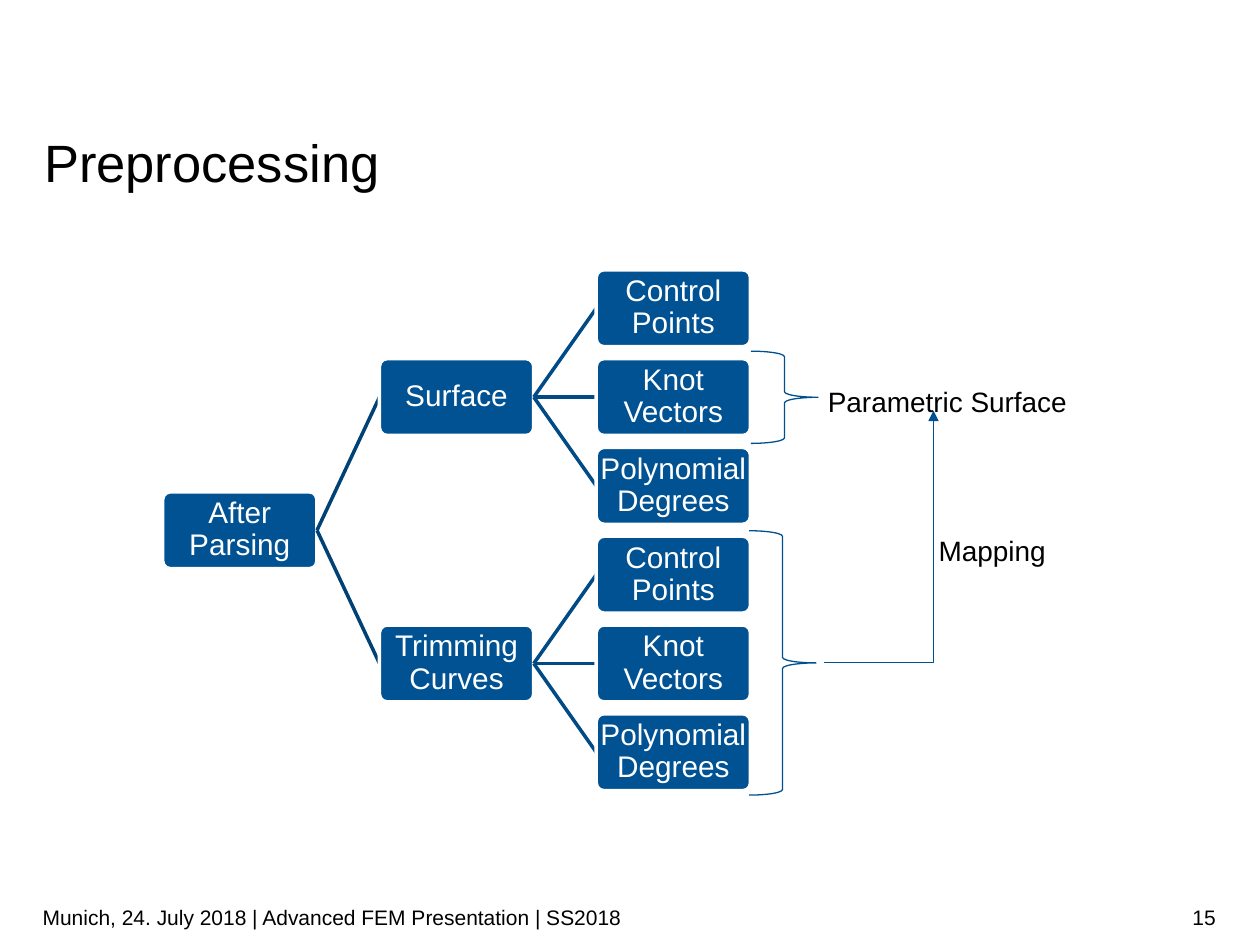
"""Build the preprocessing slide: a tree of inputs with braces and a mapping arrow."""
from lxml.etree import SubElement
from pptx import Presentation
from pptx.dml.color import RGBColor
from pptx.enum.shapes import MSO_CONNECTOR, MSO_SHAPE
from pptx.enum.text import MSO_ANCHOR, PP_ALIGN
from pptx.oxml.ns import qn
from pptx.util import Cm, Pt

BLUE = RGBColor(0x00, 0x52, 0x93)
EDGE = RGBColor(0x00, 0x50, 0x90)
NAVY = RGBColor(0x00, 0x42, 0x76)
STEEL = RGBColor(0x00, 0x4A, 0x85)
WHITE = RGBColor(0xFF, 0xFF, 0xFF)
BLACK = RGBColor(0x00, 0x00, 0x00)

LEAVES = ["Control Points", "Knot Vectors", "Polynomial Degrees"]
ROOT = "After Parsing"
BRANCHES = ["Surface", "Trimming Curves"]
LINKS = [NAVY, STEEL]
BRACES = [(15.14, 7.08, 1.35, 1.86), (15.1, 10.7, 1.35, 5.33)]
ARROW = (16.61, 13.36, 18.82, 8.28)

TITLE = ("Preprocessing", 0.89, 2.77, 23.65, 1.14)
NOTES = [("Parametric Surface", 16.69, 7.65, 4.88, 0.71),
         ("Mapping", 18.92, 10.67, 2.18, 0.71)]
FOOTER = [("Munich, 24. July 2018 | Advanced FEM Presentation | SS2018",
           0.86, 17.98, 17.96, 1.02, PP_ALIGN.LEFT),
          ("15", 18.82, 17.98, 5.69, 1.02, PP_ALIGN.RIGHT)]

LEFT, TOP = 3.28, 5.44
WIDE, HIGH = 3.11, 1.55
STEP, PITCH = 4.37, 1.79


def write(frame, text, size, color, align, space, inset=0):
    """Fill a text frame with one formatted run."""
    frame.margin_left = frame.margin_right = Cm(inset)
    frame.margin_top = frame.margin_bottom = Cm(inset)
    line = frame.paragraphs[0]
    line.alignment = align
    line.line_spacing = space
    run = line.add_run()
    run.text = text
    run.font.name = "Arial"
    run.font.size = Pt(size)
    run.font.color.rgb = color


def label(slide, text, area, size, space, align=PP_ALIGN.LEFT,
          anchor=MSO_ANCHOR.TOP, wrap=True):
    """Add a plain text box."""
    frame = slide.shapes.add_textbox(*map(Cm, area)).text_frame
    frame.word_wrap = wrap
    frame.vertical_anchor = anchor
    write(frame, text, size, BLACK, align, space)


def box(slide, text, col, row):
    """Add one tree box at a column and row."""
    area = (LEFT + col * STEP, TOP + row * PITCH, WIDE, HIGH)
    shape = slide.shapes.add_shape(MSO_SHAPE.ROUNDED_RECTANGLE, *map(Cm, area))
    shape.adjustments[0] = 0.1
    shape.shadow.inherit = False
    shape.fill.solid()
    shape.fill.fore_color.rgb = BLUE
    shape.line.color.rgb = WHITE
    shape.line.width = Pt(2)
    frame = shape.text_frame
    frame.word_wrap = True
    frame.vertical_anchor = MSO_ANCHOR.MIDDLE
    write(frame, text, 17, WHITE, PP_ALIGN.CENTER, 0.9, 0.03)


def join(slide, kind, ends, color, width):
    """Add a connector without shadow."""
    line = slide.shapes.add_connector(kind, *map(Cm, ends))
    line.line.color.rgb = color
    line.line.width = Pt(width)
    SubElement(line._element.spPr, qn("a:effectLst"))
    return line


def link(slide, col, start, end):
    """Join a box to a child in the next column."""
    right = LEFT + col * STEP + WIDE
    mid = TOP + HIGH / 2
    ends = (right, mid + start * PITCH, LEFT + (col + 1) * STEP, mid + end * PITCH)
    join(slide, MSO_CONNECTOR.STRAIGHT, ends, LINKS[col], 2)


def tree(slide):
    """Draw the root, its branches and their leaves."""
    count = len(LEAVES)
    root = (count * len(BRANCHES) - 1) / 2
    box(slide, ROOT, 0, root)
    for i, branch in enumerate(BRANCHES):
        row = i * count + (count - 1) / 2
        link(slide, 0, root, row)
        box(slide, branch, 1, row)
        for j, leaf in enumerate(LEAVES, i * count):
            link(slide, 1, row, j)
            box(slide, leaf, 2, j)


def brace(slide, area):
    """Add a right brace."""
    shape = slide.shapes.add_shape(MSO_SHAPE.RIGHT_BRACE, *map(Cm, area))
    shape.shadow.inherit = False
    shape.fill.background()
    shape.line.color.rgb = EDGE
    shape.line.width = Pt(0.75)


def arrow(slide):
    """Add the one-bend mapping arrow."""
    line = join(slide, MSO_CONNECTOR.ELBOW, ARROW, EDGE, 0.75)
    props = line._element.spPr
    props.find(qn("a:prstGeom")).set("prst", "bentConnector2")
    SubElement(props.find(qn("a:ln")), qn("a:tailEnd"), type="triangle")


def main():
    """Assemble and save the slide."""
    deck = Presentation()
    deck.slide_width, deck.slide_height = Cm(25.4), Cm(19.05)
    slide = deck.slides.add_slide(deck.slide_layouts[6])
    text, *area = TITLE
    label(slide, text, area, 30, Pt(32))
    tree(slide)
    for area in BRACES:
        brace(slide, area)
    arrow(slide)
    for text, *area in NOTES:
        label(slide, text, area, 16, 1.14, wrap=False)
    for text, *area, align in FOOTER:
        label(slide, text, area, 12, 1.0, align, MSO_ANCHOR.MIDDLE)
    deck.save("out.pptx")


if __name__ == "__main__":
    main()
